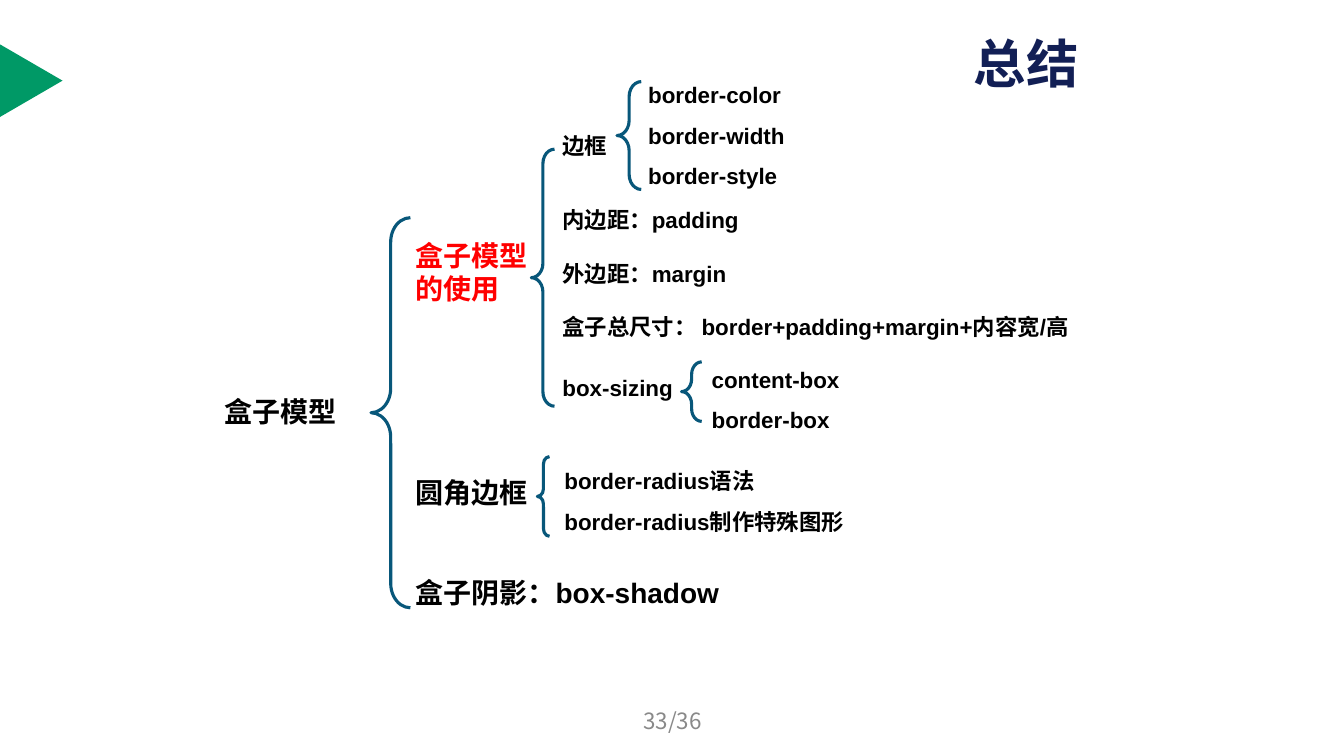
from dataclasses import dataclass

from pptx import Presentation
from pptx.dml.color import RGBColor as RGB
from pptx.enum.lang import MSO_LANGUAGE_ID as LANG
from pptx.enum.shapes import MSO_SHAPE as SHAPE
from pptx.enum.text import MSO_ANCHOR as ANCHOR, PP_ALIGN as ALIGN
from pptx.util import Inches, Pt


@dataclass(frozen=True)
class Theme:
    navy: str = "121F55"
    green: str = "009966"
    red: str = "FF0000"
    black: str = "000000"
    gray: str = "898989"
    teal: str = "08577A"
    title: float = 37.4
    branch: float = 20
    leaf: float = 16
    stroke: float = 2.25
    latin: str = "Arial"
    han: str = "Noto Sans CJK SC"


THEME = Theme()


def style(item, values):
    for name, value in values.items():
        setattr(item, name, value)


def add_text(slide, box, lines, size, color=THEME.black, face=THEME.latin,
             bold=True, align=ALIGN.LEFT, space=1.0):
    frame = slide.shapes.add_textbox(*map(Inches, box)).text_frame
    style(frame, {"word_wrap": True, "vertical_anchor": ANCHOR.MIDDLE})
    frame.text = "\n".join(lines)
    for para in frame.paragraphs:
        style(para, {"alignment": align, "line_spacing": space})
        font = para.runs[0].font
        style(font, {"name": face, "size": Pt(size), "bold": bold,
                     "language_id": LANG.SIMPLIFIED_CHINESE})
        font.color.rgb = RGB.from_string(color)


def add_row(slide, left, mid, width, text, size):
    add_text(slide, (left, mid - 0.2, width, 0.4), [text], size)


def add_list(slide, box, lines):
    add_text(slide, box, lines, THEME.leaf, space=1.5)


def add_brace(slide, box):
    brace = slide.shapes.add_shape(SHAPE.LEFT_BRACE, *map(Inches, box))
    brace.shadow.inherit = False
    brace.adjustments[0] = 0.62
    brace.fill.background()
    brace.line.color.rgb = RGB.from_string(THEME.teal)
    brace.line.width = Pt(THEME.stroke)


def add_marker(slide):
    mark = slide.shapes.add_shape(
        SHAPE.ISOSCELES_TRIANGLE, *map(Inches, (-0.05, 0.49, 0.72, 0.62)))
    mark.rotation = 90
    mark.shadow.inherit = False
    mark.fill.solid()
    mark.fill.fore_color.rgb = RGB.from_string(THEME.green)
    mark.line.fill.background()


def main():
    deck = Presentation()
    style(deck, {"slide_width": Inches(13.33), "slide_height": Inches(7.5)})
    slide = deck.slides.add_slide(deck.slide_layouts[6])

    add_marker(slide)
    add_text(slide, (9.56, 0.3, 1.61, 0.64), ["总结"], THEME.title,
             THEME.navy, THEME.han)

    add_text(slide, (1.79, 3.86, 1.99, 0.44), ["盒子模型"], THEME.branch,
             align=ALIGN.CENTER)
    add_text(slide, (4.02, 2.31, 1.5, 0.77), ["盒子模型", "的使用"],
             THEME.branch, THEME.red)
    for mid, text in ((4.88, "圆角边框"), (5.88, "盒子阴影：box-shadow")):
        add_row(slide, 4.02, mid, 5.48, text, THEME.branch)

    for mid, text in (
        (1.44, "边框"),
        (2.18, "内边距：padding"),
        (2.71, "外边距：margin"),
        (3.24, "盒子总尺寸： border+padding+margin+内容宽/高"),
        (3.84, "box-sizing"),
    ):
        add_row(slide, 5.48, mid, 5.44, text, THEME.leaf)

    add_list(slide, (6.33, 0.62, 2.22, 1.31),
             ["border-color", "border-width", "border-style"])
    add_list(slide, (6.96, 3.44, 2.55, 0.91), ["content-box", "border-box"])
    add_list(slide, (5.5, 4.45, 3.21, 0.91),
             ["border-radius语法", "border-radius制作特殊图形"])

    for box in (
        (3.68, 2.16, 0.39, 3.87),
        (5.27, 1.48, 0.23, 2.55),
        (6.12, 0.81, 0.24, 1.07),
        (6.76, 3.59, 0.2, 0.59),
        (5.33, 4.53, 0.12, 0.79),
    ):
        add_brace(slide, box)

    add_text(slide, (4.56, 6.95, 4.22, 0.4), ["33/36"], THEME.leaf,
             THEME.gray, THEME.han, False, ALIGN.CENTER)
    deck.save("out.pptx")


if __name__ == "__main__":
    main()
